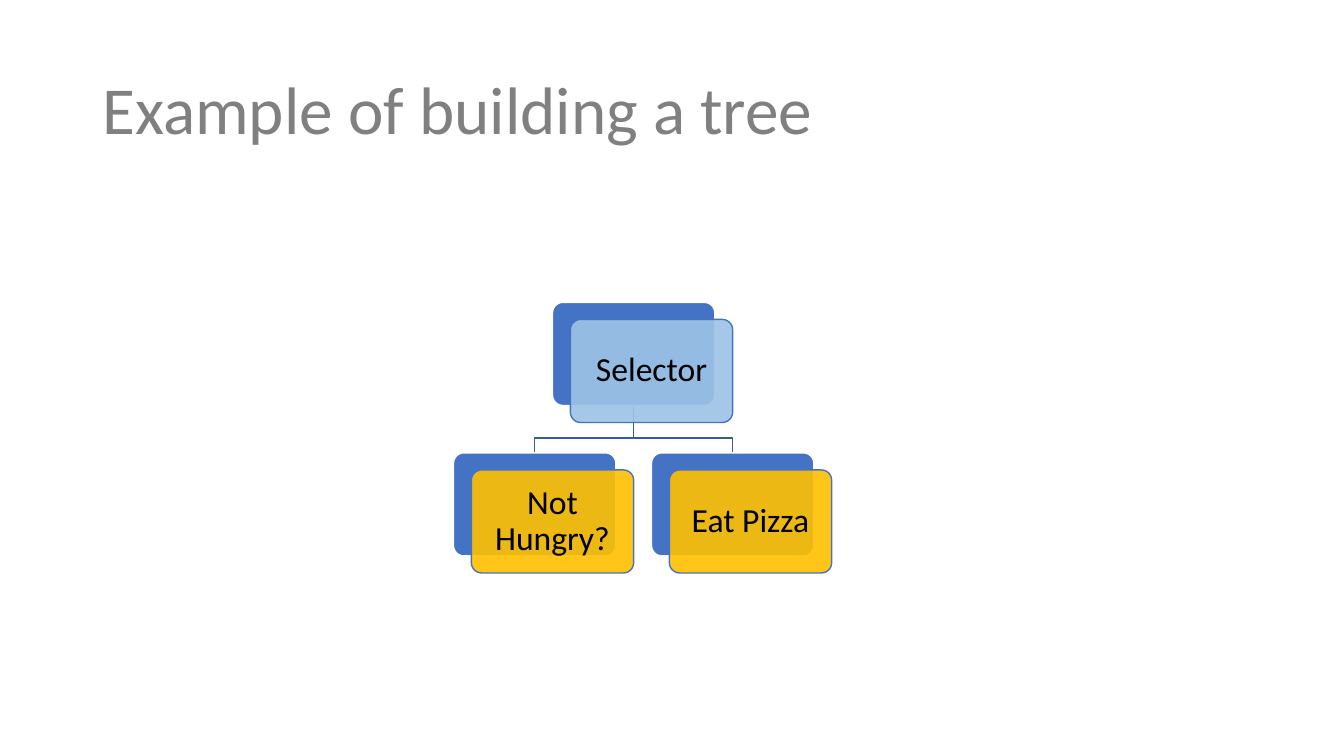
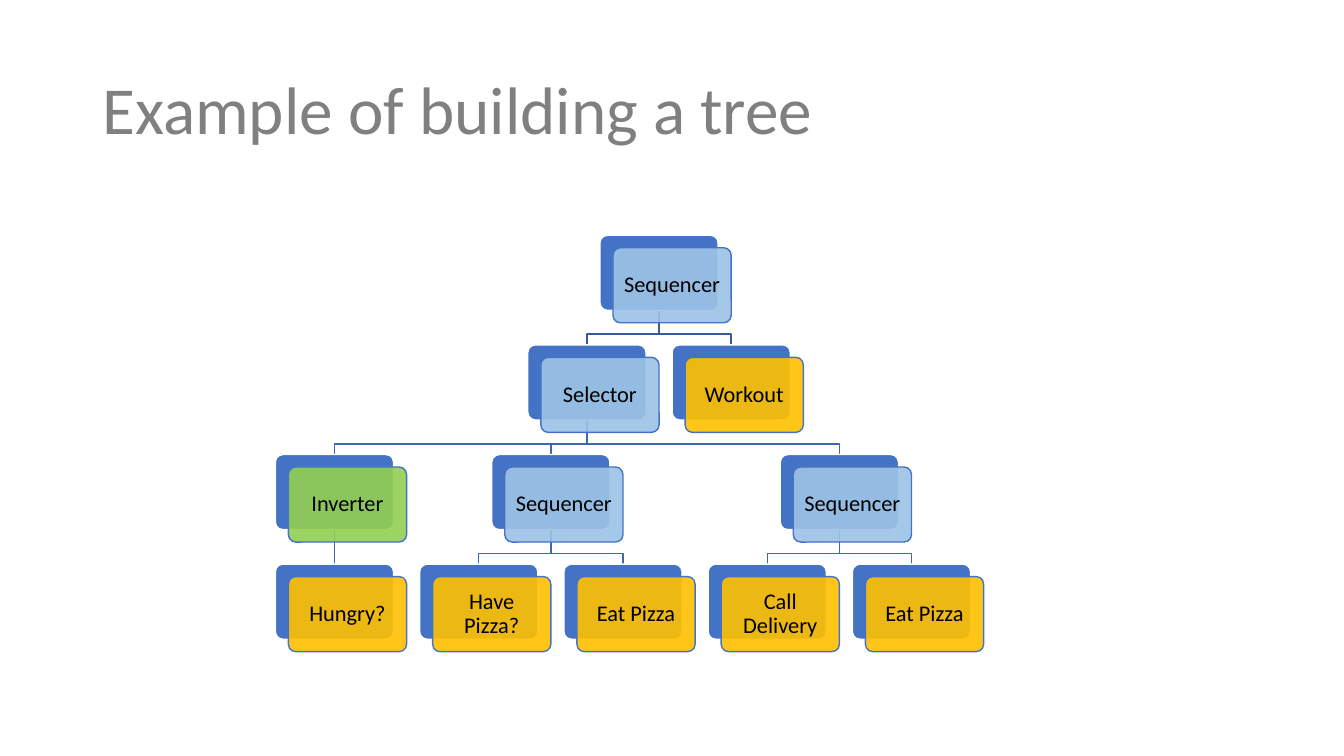
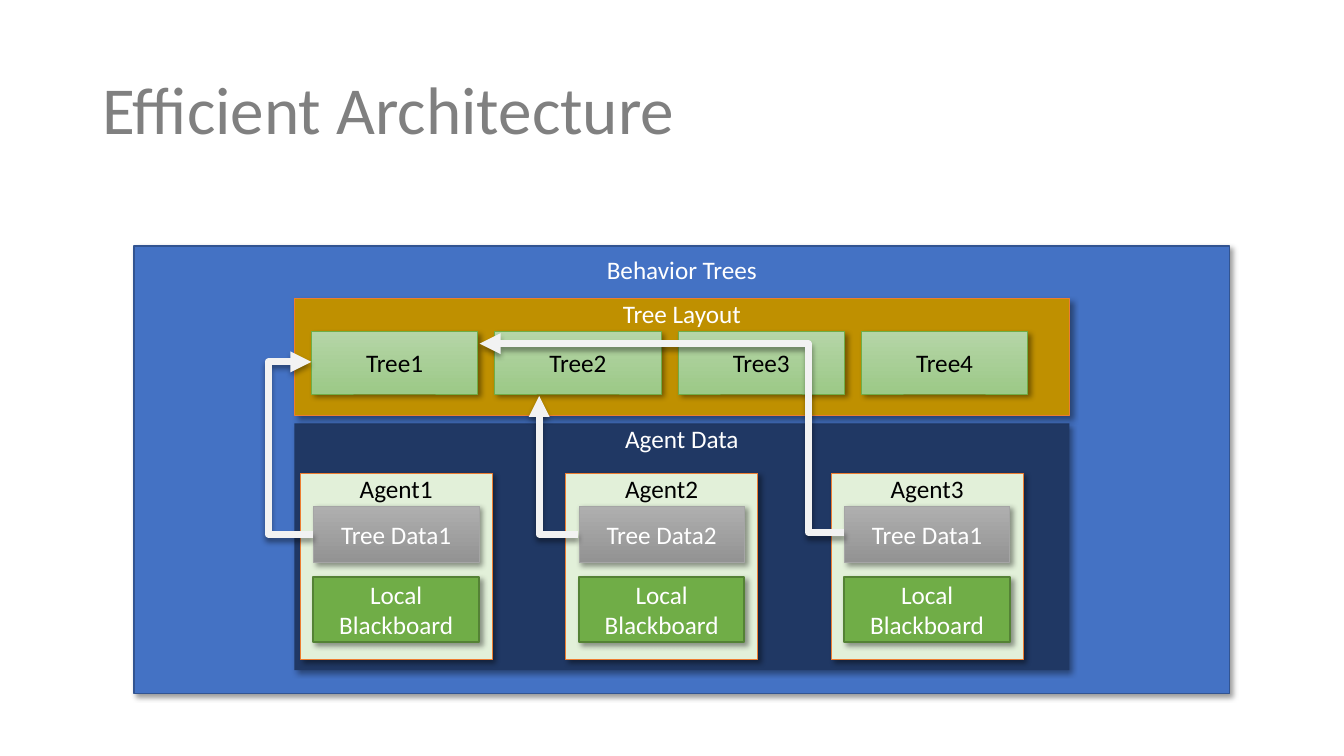
import pptx
import pptx.util
import pptx.dml.color
import pptx.enum.shapes
import pptx.enum.text
import pptx.oxml
import pptx.oxml.ns
from lxml import etree

Cm, Pt = pptx.util.Cm, pptx.util.Pt
FORM = pptx.enum.shapes.MSO_SHAPE
LINK = pptx.enum.shapes.MSO_CONNECTOR
ALIGN = pptx.enum.text.PP_ALIGN
ANCHOR = pptx.enum.text.MSO_ANCHOR
qn = pptx.oxml.ns.qn

FONT = "Calibri"
HUES = {
    "title": "808080", "black": "000000", "white": "FFFFFF",
    "blue": "4472C4", "edge": "325491", "navy": "203864",
    "gold": "BF9000", "orange": "ED7D31", "mint": "E2F0D9",
    "green": "70AD47", "moss": "548235", "gray": "A5A5A5",
    "arrow": "F2F2F2", "first": "365B9D", "deep": "3E67B2",
    "flow": "9DC3E6", "act": "FFC000", "turn": "92D050",
}

# Trees: a node is (label, hue, children), a leaf is (label, hue, column)
SMALL = ("Selector", "flow", [("Not Hungry?", "act", 0), ("Eat Pizza", "act", 1)])
LARGE = ("Sequencer", "flow", [
    ("Selector", "flow", [
        ("Inverter", "turn", [("Hungry?", "act", 0)]),
        ("Sequencer", "flow", [("Have Pizza?", "act", 1), ("Eat Pizza", "act", 2)]),
        ("Sequencer", "flow", [("Call Delivery", "act", 3), ("Eat Pizza", "act", 4)]),
    ]),
    ("Workout", "act", 2.75),
])

# Title, tree, left, top, box width (cm), text size
TREES = [
    ("Example of building a tree", SMALL, 11.43, 7.62, 4.09, 24),
    ("Example of building a tree", LARGE, 6.94, 5.93, 2.98, 16),
]

# Architecture: label, place (cm), fill, line, line width, gap above the label
PANELS = [
    ("Behavior Trees", (3.38, 6.2, 27.61, 11.28), "blue", "edge", 1, 0.22),
    ("Agent Data", (7.42, 10.67, 19.53, 6.22), "navy", None, 0, 0),
    ("Tree Layout", (7.42, 7.52, 19.53, 2.95), "gold", "orange", 0.5, 0),
]
PLANS = ["Tree1", "Tree2", "Tree3", "Tree4"]
AGENTS = [("Agent1", "Tree Data1"), ("Agent2", "Tree Data2"), ("Agent3", "Tree Data1")]
LEAF = ("B5D5A7", "9CC987")
STEEL = ("AFAFAF", "939393")
# Start, end, x of the upright part (None: a single bend)
ARROWS = [
    ((7.9, 13.46), (7.85, 9.12), 6.76),
    ((14.58, 13.46), (13.59, 9.98), None),
    ((21.28, 13.41), (12.09, 8.66), 20.37),
]


def rgb(name):
    return pptx.dml.color.RGBColor.from_string(HUES.get(name, name))


def write(shape, text, size, hue, align=ALIGN.CENTER, space=None):
    frame = shape.text_frame
    frame.word_wrap = True
    para = frame.paragraphs[0]
    para.alignment = align
    para.line_spacing = space
    run = para.add_run()
    run.text = text
    run.font.name, run.font.size = FONT, Pt(size)
    run.font.color.rgb = rgb(hue)
    return frame


def paint(shape, fill, line, width):
    """Fill with one colour, or with a pair as a gradient going down."""
    if isinstance(fill, tuple):
        shape.fill.gradient()
        shape.fill.gradient_angle = 270
        for stop, hue in zip(shape.fill.gradient_stops, fill):
            stop.color.rgb = rgb(hue)
    else:
        shape.fill.solid()
        shape.fill.fore_color.rgb = rgb(fill)
    if line:
        shape.line.color.rgb = rgb(line)
        shape.line.width = Pt(width)
    else:
        shape.line.fill.background()
    shape.shadow.inherit = False


def effects(shape):
    props = shape._element.spPr
    found = props.find(qn("a:effectLst"))
    return etree.SubElement(props, qn("a:effectLst")) if found is None else found


def shade(shape, angle=45):
    drop = etree.SubElement(effects(shape), qn("a:outerShdw"), blurRad=str(Pt(4)),
                            dist=str(Pt(3)), dir=str(angle * 60000), rotWithShape="0")
    tint = etree.SubElement(drop, qn("a:srgbClr"), val=HUES["black"])
    etree.SubElement(tint, qn("a:alpha"), val="40000")


def start(deck, title):
    slide = deck.slides.add_slide(deck.slide_layouts[6])
    box = slide.shapes.add_textbox(Cm(2.33), Cm(1.01), Cm(29.21), Cm(3.68))
    frame = write(box, title, 48, "title", ALIGN.LEFT, 0.9)
    frame.vertical_anchor = ANCHOR.MIDDLE
    return slide.shapes


def column(node):
    """A parent stands midway between its first and last child."""
    kids = node[2]
    if not isinstance(kids, list):
        return kids
    return (column(kids[0]) + column(kids[-1])) / 2


def card(shapes, x, y, wide, fill, line):
    box = shapes.add_shape(FORM.ROUNDED_RECTANGLE, Cm(x), Cm(y), Cm(wide), Cm(0.635 * wide))
    box.adjustments[0] = 0.1
    paint(box, fill, line, 1)
    return box


def join(shapes, top, low, hue):
    """Link two cards, behind all cards."""
    x, y = top.left + top.width // 2, top.top + top.height
    end, foot = low.left + low.width // 2, low.top
    if abs(x - end) < Cm(0.01):
        link = shapes.add_connector(LINK.STRAIGHT, x, y, end, foot)
        link.begin_connect(top, 2)
        link.end_connect(low, 0)
    else:
        bend = y + int(0.69 * (foot - y))
        pen = shapes.build_freeform(x, y)
        pen.add_line_segments([(x, bend), (end, bend), (end, foot)], close=False)
        link = pen.convert_to_shape()
        link.fill.background()
    link.line.color.rgb = rgb(hue)
    link.line.width = Pt(1)
    effects(link)
    link._element.getparent().insert(2, link._element)


def grow(shapes, node, left, top, wide, size, level=0):
    label, hue, kids = node
    x, y = left + 1.22 * wide * column(node), top + 0.927 * wide * level
    back = card(shapes, x, y, wide, "blue", "white")
    front = card(shapes, x + 0.11 * wide, y + 0.105 * wide, wide, hue, "blue")
    tint = front._element.spPr.find(qn("a:solidFill"))[0]
    etree.SubElement(tint, qn("a:alpha"), val="90000")
    frame = write(front, label, size, "black", space=0.9)
    frame.vertical_anchor = ANCHOR.MIDDLE
    frame.margin_left = frame.margin_right = Cm(0.075 * wide)
    frame.margin_top = frame.margin_bottom = 0
    for kid in kids if isinstance(kids, list) else []:
        low = grow(shapes, kid, left, top, wide, size, level + 1)
        join(shapes, back, low, "deep" if level else "first")
    return back


def block(shapes, label, place, fill, line, width, hue="white", gap=None):
    """A shadowed box: label in the middle, or at the top below a gap."""
    box = shapes.add_shape(FORM.RECTANGLE, *[Cm(n) for n in place])
    paint(box, fill, line, width)
    shade(box)
    frame = write(box, label, 18, hue)
    frame.vertical_anchor = ANCHOR.MIDDLE if gap is None else ANCHOR.TOP
    if gap is not None:
        frame.margin_top = Cm(gap)


def arrow(shapes, tail, tip, via):
    link = shapes.add_connector(LINK.ELBOW, *[Cm(n) for n in tail + tip])
    shape = link._element.spPr.find(qn("a:prstGeom"))
    if via is None:
        shape.set("prst", "bentConnector2")
    else:
        part = round((tail[0] - via) / (tail[0] - tip[0]) * 100000)
        guides = shape.find(qn("a:avLst"))
        if guides is None:
            guides = etree.SubElement(shape, qn("a:avLst"))
        etree.SubElement(guides, qn("a:gd"), name="adj1", fmla=f"val {part}")
    link.line.color.rgb = rgb("arrow")
    link.line.width = Pt(5)
    etree.SubElement(link.line._get_or_add_ln(), qn("a:tailEnd"), type="triangle")
    shade(link, 90)


def main():
    deck = pptx.Presentation()
    deck.slide_width, deck.slide_height = Cm(33.87), Cm(19.05)

    # Tree slides
    for title, tree, left, top, wide, size in TREES:
        grow(start(deck, title), tree, left, top, wide, size)

    # Architecture slide
    shapes = start(deck, "Efficient Architecture")
    for label, place, fill, line, width, gap in PANELS:
        block(shapes, label, place, fill, line, width, gap=gap)
    for i, label in enumerate(PLANS):
        block(shapes, label, (7.85 + 4.62 * i, 8.36, 4.19, 1.57), LEAF, "green", 0.5, "black")
    for i, (name, data) in enumerate(AGENTS):
        x = 7.57 + 6.69 * i
        block(shapes, name, (x, 11.92, 4.83, 4.7), "mint", "orange", 0.5, "black", 0)
        block(shapes, data, (x + 0.33, 12.75, 4.17, 1.42), STEEL, "gray", 0.5)
        block(shapes, "Local Blackboard", (x + 0.33, 14.55, 4.17, 1.63), "green", "moss", 1.5)
    for tail, tip, via in ARROWS:
        arrow(shapes, tail, tip, via)

    deck.save("out.pptx")


if __name__ == "__main__":
    main()
